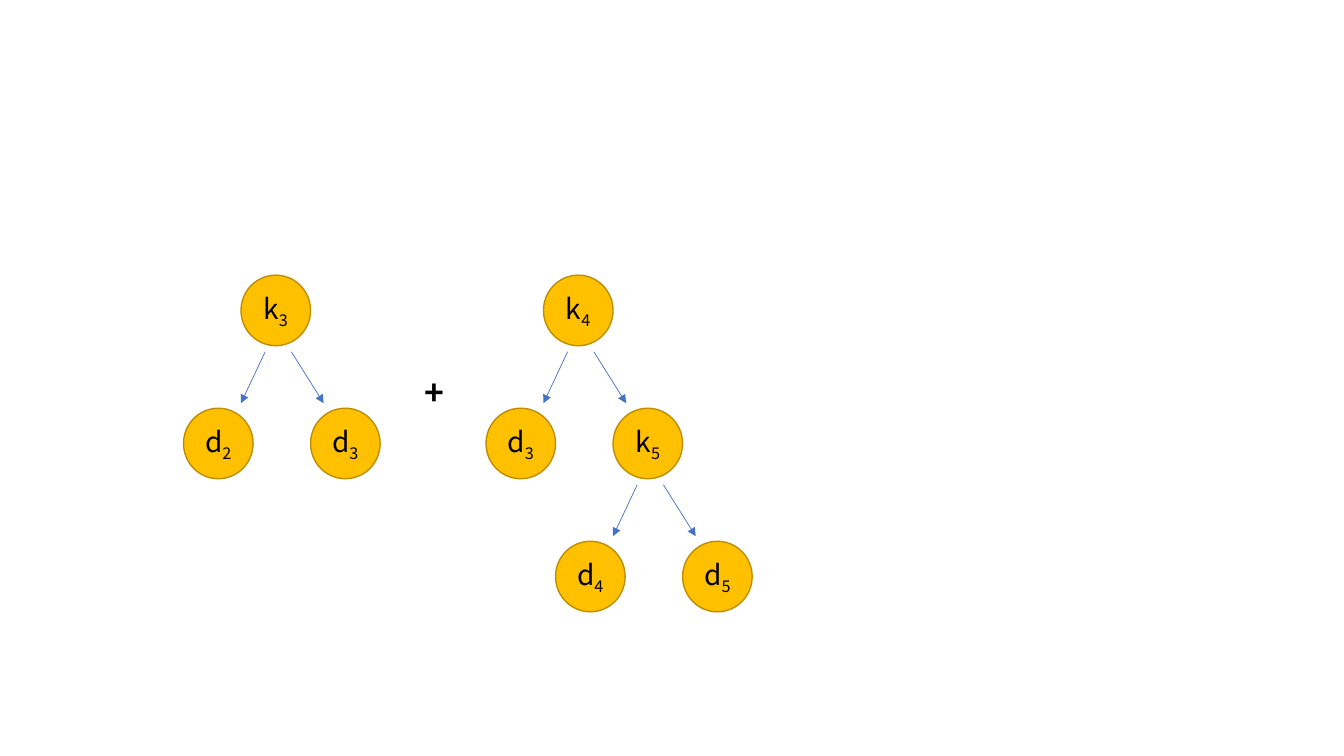
from collections import namedtuple

from lxml.etree import SubElement
from pptx import Presentation
from pptx.dml.color import RGBColor
from pptx.enum.shapes import MSO_CONNECTOR, MSO_SHAPE
from pptx.enum.text import MSO_ANCHOR, MSO_AUTO_SIZE, PP_ALIGN
from pptx.oxml.ns import qn
from pptx.util import Inches, Pt

FONT = "Noto Sans CJK KR"
NODE_WIDTH, NODE_HEIGHT = 0.69, 0.7
LEVEL_HEIGHT = 1.32
ARROW_TOP, ARROW_BOTTOM = 0.76, 1.27

# Horizontal offsets from the left edge of the parent node
Branch = namedtuple("Branch", "child arrow_start arrow_end")
BRANCHES = (Branch(-0.57, 0.24, 0), Branch(0.69, 0.5, 0.82))

# A tree is a letter, a subscript and its subtrees
LEFT_TREE = ("k", "3", [("d", "2", []), ("d", "3", [])])
RIGHT_TREE = ("k", "4", [("d", "3", []),
                         ("k", "5", [("d", "4", []), ("d", "5", [])])])


def color(hex_code):
    """Return the colour for a hex string."""
    return RGBColor.from_string(hex_code)


def style_text(paragraph, size, bold=False):
    """Set the slide's font on a paragraph."""
    font = paragraph.font
    font.name, font.size, font.bold = FONT, Pt(size), bold
    font.color.rgb = color("000000")


def add_node(slide, left, top, letter, subscript):
    """Draw one round node with a subscripted label."""
    node = slide.shapes.add_shape(
        MSO_SHAPE.OVAL, Inches(left), Inches(top),
        Inches(NODE_WIDTH), Inches(NODE_HEIGHT))
    node.shadow.inherit = False
    node.fill.solid()
    node.fill.fore_color.rgb = color("FFC000")
    node.line.color.rgb = color("BD8E00")
    node.line.width = Pt(1)

    frame = node.text_frame
    frame.margin_left = frame.margin_right = 0
    frame.vertical_anchor = MSO_ANCHOR.MIDDLE
    label = frame.paragraphs[0]
    label.alignment = PP_ALIGN.CENTER
    style_text(label, 20)
    label.add_run().text = letter
    index = label.add_run()
    index.text = subscript
    index._r.get_or_add_rPr().set("baseline", "-25000")


def add_arrow(slide, start_x, start_y, end_x, end_y):
    """Draw a thin arrow from a parent towards its child."""
    arrow = slide.shapes.add_connector(
        MSO_CONNECTOR.STRAIGHT, Inches(start_x), Inches(start_y),
        Inches(end_x), Inches(end_y))
    arrow.line.color.rgb = color("4472C4")
    arrow.line.width = Pt(0.5)
    SubElement(arrow.line._get_or_add_ln(), qn("a:tailEnd"), type="triangle")
    SubElement(arrow._element.spPr, qn("a:effectLst"))


def add_tree(slide, left, top, tree):
    """Draw a tree whose root node has the given top left corner."""
    letter, subscript, subtrees = tree
    add_node(slide, left, top, letter, subscript)
    for branch, subtree in zip(BRANCHES, subtrees):
        add_arrow(slide, left + branch.arrow_start, top + ARROW_TOP,
                  left + branch.arrow_end, top + ARROW_BOTTOM)
        add_tree(slide, left + branch.child, top + LEVEL_HEIGHT, subtree)


def add_plus(slide, left, top, width, height):
    """Write the plus sign between the trees."""
    plus = slide.shapes.add_textbox(
        Inches(left), Inches(top), Inches(width), Inches(height))
    frame = plus.text_frame
    frame.word_wrap = False
    frame.auto_size = MSO_AUTO_SIZE.SHAPE_TO_FIT_TEXT
    sign = frame.paragraphs[0]
    sign.text = "+"
    style_text(sign, 24, bold=True)


def build_slide(presentation):
    """Build the slide that adds two trees."""
    slide = presentation.slides.add_slide(presentation.slide_layouts[6])
    add_tree(slide, 2.39, 2.73, LEFT_TREE)
    add_tree(slide, 5.39, 2.73, RIGHT_TREE)
    add_plus(slide, 4.11, 3.64, 0.44, 0.5)


presentation = Presentation()
presentation.slide_width = Inches(13.33)
presentation.slide_height = Inches(7.5)
build_slide(presentation)
presentation.save("out.pptx")
